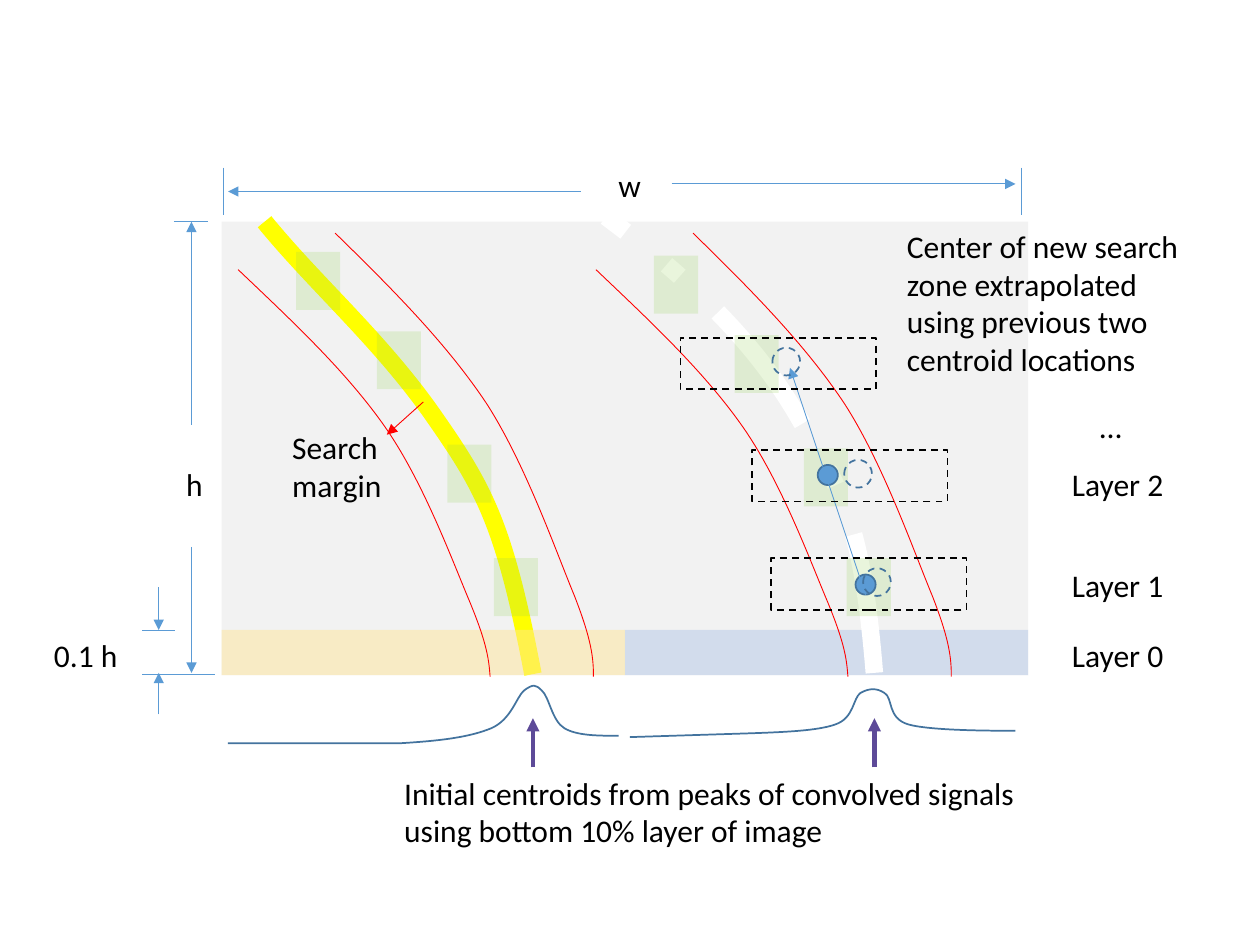
from pptx import Presentation
from pptx.dml.color import RGBColor
from pptx.enum.dml import MSO_LINE
from pptx.enum.shapes import MSO_CONNECTOR, MSO_SHAPE
from pptx.enum.text import MSO_AUTO_SIZE
from pptx.oxml.ns import qn
from pptx.util import Inches, Pt
from lxml import etree

BLACK = RGBColor(0x00, 0x00, 0x00)
WHITE = RGBColor(0xFF, 0xFF, 0xFF)
GRAY = RGBColor(0xF2, 0xF2, 0xF2)
YELLOW = RGBColor(0xFF, 0xFF, 0x00)
GOLD = RGBColor(0xFF, 0xE6, 0x99)
PALE = RGBColor(0xB4, 0xC7, 0xE7)
GREEN = RGBColor(0x92, 0xD0, 0x50)
RED = RGBColor(0xFF, 0x00, 0x00)
BLUE = RGBColor(0x5B, 0x9B, 0xD5)
NAVY = RGBColor(0x43, 0x73, 0x9E)
PURPLE = RGBColor(0x5D, 0x4A, 0x98)

RECT, OVAL = MSO_SHAPE.RECTANGLE, MSO_SHAPE.OVAL


def stroke(line, color, width, dash=None):
    line.color.rgb = color
    line.width = Pt(width)
    if dash:
        line.dash_style = dash


def add_form(slide, kind, x, y, w, h, fill=None, alpha=None, line=None, dash=None):
    form = slide.shapes.add_shape(kind, Inches(x), Inches(y), Inches(w), Inches(h))
    form.shadow.inherit = False
    if fill is None:
        form.fill.background()
    else:
        form.fill.solid()
        form.fill.fore_color.rgb = fill
        if alpha:
            tone = form.fill._xPr.find(qn("a:solidFill"))[0]
            etree.SubElement(tone, qn("a:alpha"), val=str(alpha * 1000))
    if line is None:
        form.line.fill.background()
    else:
        stroke(form.line, line, 1, dash)


def add_line(slide, x1, y1, x2, y2, color=BLUE, width=0.5, arrow=False):
    link = slide.shapes.add_connector(
        MSO_CONNECTOR.STRAIGHT, Inches(x1), Inches(y1), Inches(x2), Inches(y2))
    stroke(link.line, color, width)
    if arrow:
        etree.SubElement(link.line._get_or_add_ln(), qn("a:tailEnd"), type="triangle")
    etree.SubElement(link._element.spPr, qn("a:effectLst"))


def add_text(slide, text, x, y, w, h=0.4, wrap=False):
    box = slide.shapes.add_textbox(Inches(x), Inches(y), Inches(w), Inches(h))
    box.text_frame.word_wrap = wrap
    box.text_frame.auto_size = MSO_AUTO_SIZE.SHAPE_TO_FIT_TEXT
    box.text_frame.text = text
    font = box.text_frame.paragraphs[0].runs[0].font
    font.name, font.size, font.color.rgb = "Calibri", Pt(18), BLACK


def add_curve(slide, x, y, knots, color, width, dash=None, lead=0):
    """Draw lead straight parts, then cubic curves of two controls and an end each."""
    dots = [(Inches(x + px), Inches(y + py)) for px, py in knots]
    pen = slide.shapes.build_freeform(*dots[0], scale=1.0)
    pen.add_line_segments(dots[1:], close=False)
    form = pen.convert_to_shape()
    form.shadow.inherit = False
    form.fill.background()
    stroke(form.line, color, width, dash)

    # Gather each three points into one curve
    trail = next(form._element.iter(qn("a:path")))
    parts = trail.findall(qn("a:lnTo"))[lead:]
    for i in range(0, len(parts), 3):
        bend = etree.SubElement(trail, qn("a:cubicBezTo"))
        for part in parts[i:i + 3]:
            bend.append(part[0])
            trail.remove(part)


def add_road(slide, x, y, w, h):
    # Road surface, bottom layer in two halves, and the lane lines
    add_form(slide, RECT, x, y, w, h, GRAY)
    half, band = w / 2, h / 10
    add_form(slide, RECT, x + half, y + h - band, half, band, PALE, 50)
    add_curve(slide, x, y, [(2.47, 3.59), (2.24, 2.38), (2.08, 2.11), (1.66, 1.51),
                            (1.24, 0.92), (0.74, 0.49), (0.34, 0)], YELLOW, 10)
    add_curve(slide, x, y, [(5.18, 3.58), (5.08, 2.35), (4.91, 2.12), (4.56, 1.52),
                            (4.2, 0.91), (3.68, 0.43), (3.05, -0.04)],
              WHITE, 10, MSO_LINE.LONG_DASH_DOT)
    add_form(slide, RECT, x, y + h - band, half, band, GOLD, 50)

    # Windows found along both lanes
    for wx, wy in [(2.16, 2.67), (1.79, 1.77), (1.23, 0.87), (0.59, 0.24),
                   (4.96, 2.67), (4.62, 1.8), (4.07, 0.9), (3.43, 0.27)]:
        add_form(slide, RECT, x + wx, y + wy, 0.35, 0.46, GREEN, 20)

    # Search margins, the same pair for each lane
    inner = [(0.13, 0.38), (0.55, 0.78), (0.98, 1.18), (1.29, 1.62), (1.6, 2.06),
             (1.83, 2.69), (1.97, 3.02), (2.11, 3.36), (2.12, 3.48), (2.13, 3.61)]
    outer = [(0.9, 0.09), (1.34, 0.52), (1.78, 0.96), (2.1, 1.44), (2.41, 1.92),
             (2.65, 2.61), (2.8, 2.97), (2.94, 3.33), (2.95, 3.47), (2.95, 3.61)]
    for shift in (0, 2.84):
        for knots in (inner, outer):
            add_curve(slide, x + shift, y, knots, RED, 0.5)
    add_line(slide, x + 1.6, y + 1.43, x + 1.31, y + 1.69, RED, arrow=True)
    add_text(slide, "Search margin", x + 0.46, y + 1.59, 0.92, 0.71, True)


def add_search(slide, x, y):
    # Found centroids and the line through them
    for cx, cy in [(1.09, 1.01), (1.39, 1.88)]:
        add_form(slide, OVAL, x + cx, y + cy, 0.16, 0.16, BLUE, line=NAVY)
    add_line(slide, x + 1.47, y + 2.04, x + 0.87, y + 0.24, arrow=True)

    # Search zones with their expected centers
    for zx, zy, cx in [(0, 0, 0.73), (0.72, 1.75, 1.45), (0.57, 0.89, 1.3)]:
        add_form(slide, RECT, x + zx, y + zy, 1.55, 0.41, line=BLACK, dash=MSO_LINE.DASH)
        add_form(slide, OVAL, x + cx, y + zy + 0.08, 0.22, 0.22,
                 line=NAVY, dash=MSO_LINE.DASH)
    add_text(slide, "Center of new search zone extrapolated using previous two "
             "centroid locations", x + 1.7, y - 0.93, 2.54, 1.31, True)


def add_sizes(slide, x, y, w, h):
    # Width
    for tick in (x + 0.01, x + w - 0.05):
        add_line(slide, tick, y - 0.43, tick, y - 0.05)
    add_line(slide, x + 2.85, y - 0.24, x + 0.05, y - 0.24, arrow=True)
    add_text(slide, "w", x + 3.05, y - 0.49, 0.38)
    add_line(slide, x + 3.57, y - 0.3, x + w - 0.1, y - 0.3, arrow=True)

    # Height
    add_line(slide, x - 0.38, y, x - 0.11, y)
    add_line(slide, x - 0.24, y + 1.61, x - 0.24, y, arrow=True)
    add_text(slide, "h", x - 0.38, y + 1.88, 0.34)
    add_line(slide, x - 0.24, y + 2.58, x - 0.24, y + h - 0.02, arrow=True)

    # Bottom layer
    top, base = y + h * 0.9, y + h - 0.01
    add_line(slide, x - 0.63, top, x - 0.37, top)
    add_line(slide, x - 0.63, base, x - 0.05, base)
    add_line(slide, x - 0.5, top - 0.34, x - 0.5, top, arrow=True)
    add_line(slide, x - 0.5, base + 0.32, x - 0.5, base - 0.01, arrow=True)
    add_text(slide, "0.1 h", x - 1.43, top, 0.71)


def add_peaks(slide, x, y):
    # Convolved signals, each with a flat start, and arrows to their peaks
    left = [(0, 0.46), (1.35, 0.46), (1.7, 0.44), (1.92, 0.41), (2.09, 0.34),
            (2.25, 0.27), (2.29, 0.09), (2.35, 0.04), (2.42, -0.01), (2.44, -0.01),
            (2.49, 0.04), (2.55, 0.09), (2.57, 0.28), (2.67, 0.34), (2.77, 0.4),
            (2.94, 0.4), (3.1, 0.4)]
    right = [(3.19, 0.41), (4.15, 0.38), (4.42, 0.37), (4.68, 0.36), (4.82, 0.31),
             (4.97, 0.26), (4.96, 0.1), (5.02, 0.06), (5.09, 0.02), (5.15, 0.02),
             (5.21, 0.06), (5.28, 0.1), (5.23, 0.26), (5.4, 0.31), (5.58, 0.36),
             (6.07, 0.36), (6.25, 0.36)]
    for knots, peak in [(left, 2.42), (right, 5.13)]:
        add_curve(slide, x, y, knots, NAVY, 1, lead=1)
        add_line(slide, x + peak, y + 0.65, x + peak, y + 0.26, PURPLE, 2.5, True)
    add_text(slide, "Initial centroids from peaks of convolved signals using "
             "bottom 10% layer of image", x + 1.3, y + 0.65, 5.3, 0.71, True)


def add_layers(slide, x, y):
    for text, drop in [("Layer 0", 1.82), ("Layer 1", 1.26), ("Layer 2", 0.46)]:
        add_text(slide, text, x, y + drop, 0.94)
    add_text(slide, "…", x + 0.22, y, 0.38)


def main():
    deck = Presentation()
    deck.slide_width, deck.slide_height = Inches(10), Inches(7.5)
    slide = deck.slides.add_slide(deck.slide_layouts[6])
    road = (1.76, 1.76, 6.4, 3.6)
    add_road(slide, *road)
    add_peaks(slide, 1.81, 5.44)
    add_sizes(slide, *road)
    add_search(slide, 5.4, 2.68)
    add_layers(slide, 8.41, 3.18)
    deck.save("out.pptx")


if __name__ == "__main__":
    main()
